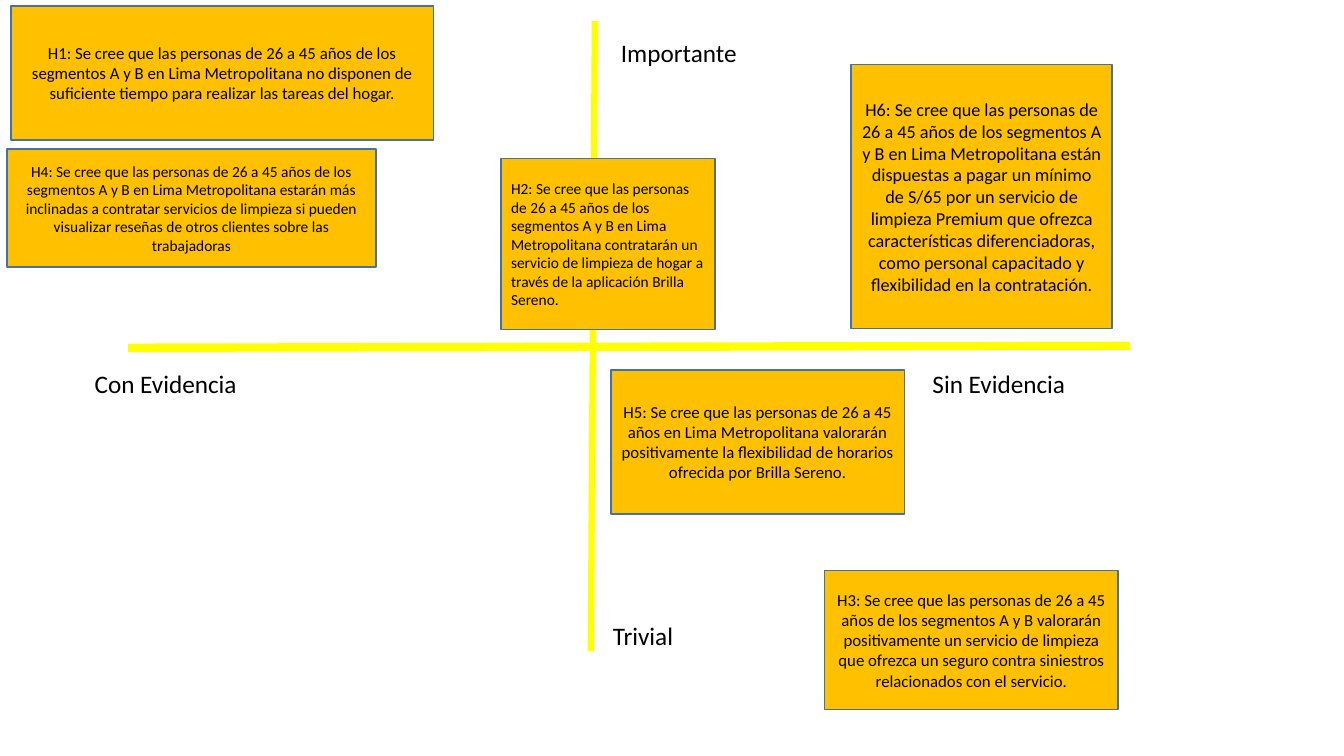
from dataclasses import dataclass

import lxml.etree
import pptx
import pptx.dml.color
import pptx.enum.shapes
import pptx.enum.text
import pptx.oxml.ns
import pptx.shapes.base
import pptx.slide
import pptx.text.text
import pptx.util

Inches = pptx.util.Inches
Pt = pptx.util.Pt
Align = pptx.enum.text.PP_ALIGN

FONT = "Calibri"
BLACK = "000000"
AMBER = "FFC000"
BLUE = "43739E"
YELLOW = "FFFF00"


@dataclass(frozen=True)
class Axis:
    start: tuple[float, float]
    end: tuple[float, float]
    weight: float


@dataclass(frozen=True)
class Label:
    text: str
    left: float
    top: float
    width: float


@dataclass(frozen=True)
class Hypothesis:
    text: str
    left: float
    top: float
    width: float
    height: float
    size: int = 12
    align: Align = Align.CENTER


AXES = [
    Axis((1.27, 3.45), (11.21, 3.43), 6),
    Axis((5.9, 0.21), (5.86, 6.46), 4.5),
]

LABELS = [
    Label("Con Evidencia", 0.84, 3.6, 2.12),
    Label("Sin Evidencia", 9.15, 3.6, 1.88),
    Label("Importante", 6.06, 0.32, 2.18),
    Label("Trivial", 5.98, 6.11, 2.26),
]

HYPOTHESES = [
    Hypothesis(
        "H1: Se cree que las personas de 26 a 45 años de los segmentos A y B en Lima "
        "Metropolitana no disponen de suficiente tiempo para realizar las tareas del hogar.",
        0.11, 0.06, 4.19, 1.33,
    ),
    Hypothesis(
        "H4: Se cree que las personas de 26 a 45 años de los segmentos A y B en Lima "
        "Metropolitana estarán más inclinadas a contratar servicios de limpieza si pueden "
        "visualizar reseñas de otros clientes sobre las trabajadoras",
        0.07, 1.48, 3.66, 1.17, size=11,
    ),
    Hypothesis(
        "H2: Se cree que las personas de 26 a 45 años de los segmentos A y B en Lima "
        "Metropolitana contratarán un servicio de limpieza de hogar a través de la "
        "aplicación Brilla Sereno.",
        4.97, 1.57, 2.12, 1.7, size=11, align=Align.LEFT,
    ),
    Hypothesis(
        "H5: Se cree que las personas de 26 a 45 años en Lima Metropolitana valorarán "
        "positivamente la flexibilidad de horarios ofrecida por Brilla Sereno.",
        6.06, 3.67, 2.91, 1.43,
    ),
    Hypothesis(
        "H3: Se cree que las personas de 26 a 45 años de los segmentos A y B valorarán "
        "positivamente un servicio de limpieza que ofrezca un seguro contra siniestros "
        "relacionados con el servicio.",
        8.18, 5.66, 2.91, 1.38,
    ),
    Hypothesis(
        "H6: Se cree que las personas de 26 a 45 años de los segmentos A y B en Lima "
        "Metropolitana están dispuestas a pagar un mínimo de S/65 por un servicio de "
        "limpieza Premium que ofrezca características diferenciadoras, como personal "
        "capacitado y flexibilidad en la contratación.",
        8.44, 0.64, 2.59, 2.62, size=13,
    ),
]


def colour(value: str) -> pptx.dml.color.RGBColor:
    return pptx.dml.color.RGBColor.from_string(value)


def write(box: pptx.shapes.base.BaseShape, text: str, size: int, align: Align) -> None:
    frame = box.text_frame
    frame.word_wrap = True
    para = frame.paragraphs[0]
    para.alignment = align
    span = para.add_run()
    span.text = text
    span.font.name = FONT
    span.font.size = Pt(size)
    span.font.color.rgb = colour(BLACK)


def draw_axis(page: pptx.slide.Slide, axis: Axis) -> None:
    line = page.shapes.add_connector(
        pptx.enum.shapes.MSO_CONNECTOR.STRAIGHT,
        *map(Inches, axis.start + axis.end),
    )
    line.line.color.rgb = colour(YELLOW)
    line.line.width = Pt(axis.weight)
    properties = line._element.spPr
    lxml.etree.SubElement(properties, pptx.oxml.ns.qn("a:effectLst"))


def draw_label(page: pptx.slide.Slide, label: Label) -> None:
    box = page.shapes.add_textbox(
        *map(Inches, (label.left, label.top, label.width, 0.4))
    )
    box.text_frame.auto_size = pptx.enum.text.MSO_AUTO_SIZE.SHAPE_TO_FIT_TEXT
    write(box, label.text, 18, Align.LEFT)


def draw_hypothesis(page: pptx.slide.Slide, card: Hypothesis) -> None:
    box = page.shapes.add_shape(
        pptx.enum.shapes.MSO_SHAPE.RECTANGLE,
        *map(Inches, (card.left, card.top, card.width, card.height)),
    )
    box.shadow.inherit = False
    box.fill.solid()
    box.fill.fore_color.rgb = colour(AMBER)
    box.line.color.rgb = colour(BLUE)
    box.line.width = Pt(1)
    box.text_frame.vertical_anchor = pptx.enum.text.MSO_ANCHOR.MIDDLE
    write(box, card.text, card.size, card.align)


def main() -> None:
    deck = pptx.Presentation()
    deck.slide_width = Inches(13.33)
    deck.slide_height = Inches(7.5)
    page = deck.slides.add_slide(deck.slide_layouts[6])
    for axis in AXES:
        draw_axis(page, axis)
    for label in LABELS:
        draw_label(page, label)
    for card in HYPOTHESES:
        draw_hypothesis(page, card)
    deck.save("out.pptx")


if __name__ == "__main__":
    main()
